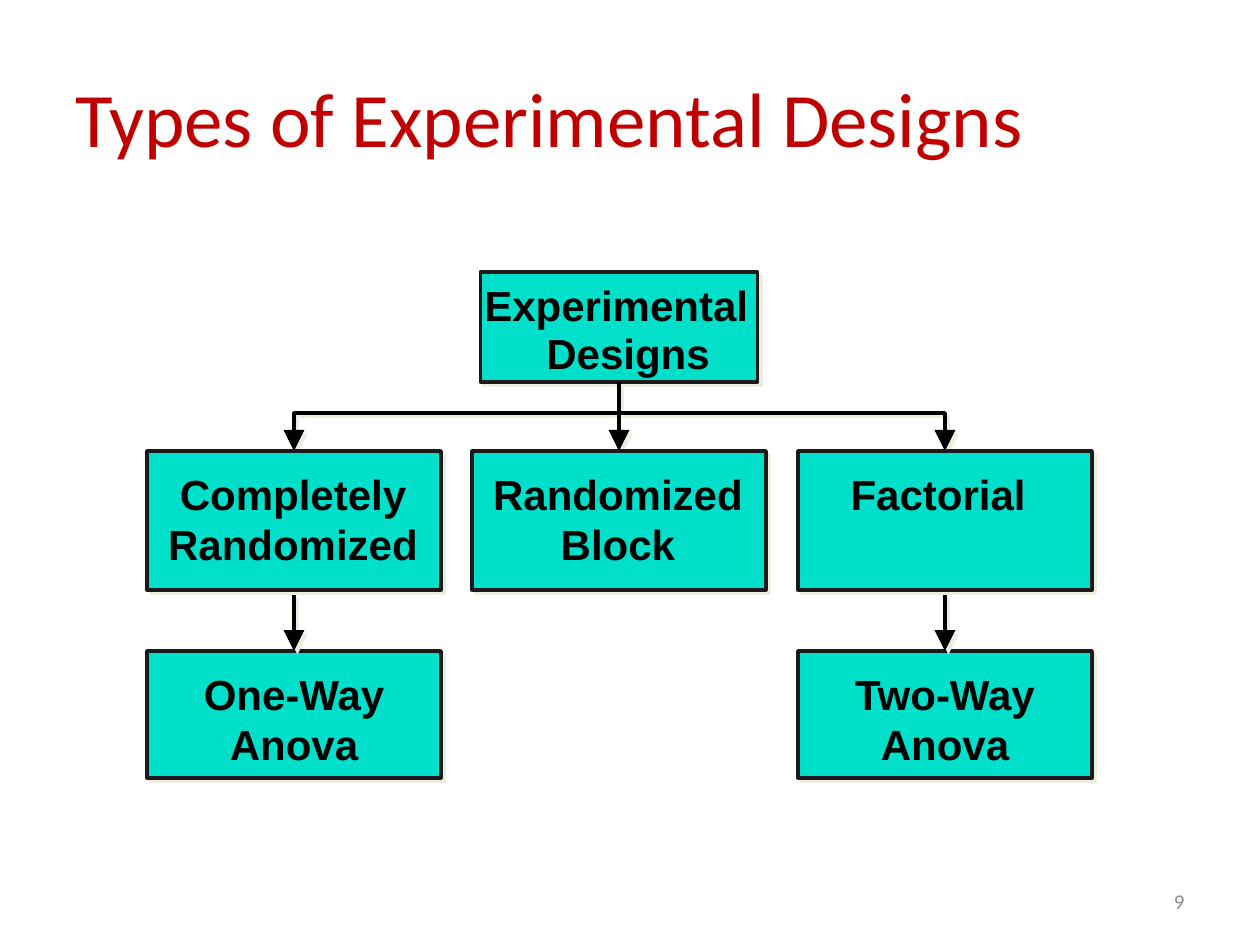
from lxml import etree
from pptx import Presentation
from pptx import util as u
from pptx.dml.color import RGBColor
from pptx.enum import shapes, text
from pptx.oxml.ns import qn

SCALE = 914400 / 126  # EMU per px
BLACK, TEAL, EDGE, SHADE = "000000", "00DFCA", "1A1A1A", "EEECE1"
RED, GREY = "C00000", "8C8C8C"

COLUMNS = [294, 619, 945]  # centre lines of the three branches
BOX_WIDTH, HEAD = 294, 21
ROOT_TOP, DESIGN_TOP, ANOVA_TOP = 272, 451, 651
ROOT_HEIGHT, DESIGN_HEIGHT, ANOVA_HEIGHT = 110, 139, 127
BUS = 413  # height of the line that joins the branches


def px(length):
    return u.Emu(round(length * SCALE))


def color(value):
    return RGBColor.from_string(value)


def set_shadow(shape, visible=True):
    """Add the offset shadow, or an empty list that turns shadows off."""
    effects = etree.SubElement(shape._element.spPr, qn("a:effectLst"))
    if visible:
        shadow = etree.SubElement(effects, qn("a:outerShdw"), dist="35921",
                                  dir="2700000", algn="ctr", rotWithShape="0")
        etree.SubElement(shadow, qn("a:srgbClr"), val=SHADE)


def set_line(shape, value):
    shape.line.color.rgb = color(value)
    shape.line.width = u.Pt(2)


def add_text(page, words, left, top, width, height, size=24, font="Arial", value=BLACK,
             bold=True, align=text.PP_ALIGN.CENTER, anchor=text.MSO_ANCHOR.TOP):
    frame = page.shapes.add_textbox(px(left), px(top), px(width), px(height)).text_frame
    frame.word_wrap = True
    frame.vertical_anchor = anchor
    para = frame.paragraphs[0]
    para.text = words
    para.alignment = align
    para.font.size = u.Pt(size)
    para.font.name = font
    para.font.bold = bold
    para.font.color.rgb = color(value)


def add_box(page, center, top, width, height):
    box = page.shapes.add_shape(shapes.MSO_SHAPE.RECTANGLE, px(center - width / 2),
                                px(top), px(width), px(height))
    box.fill.solid()
    box.fill.fore_color.rgb = color(TEAL)
    set_line(box, EDGE)
    set_shadow(box)


def add_label(page, words, center, box_top, width, height=113):
    add_text(page, words, center - width / 2, box_top + 11, width, height)


def add_elbow(page, center, root_center):
    builder = page.shapes.build_freeform(center, 432, SCALE)
    builder.add_line_segments([(center, BUS), (root_center, BUS),
                               (root_center, ROOT_TOP + ROOT_HEIGHT)], close=False)
    elbow = builder.convert_to_shape()
    elbow.fill.background()
    set_line(elbow, BLACK)
    set_shadow(elbow)


def add_stem(page, center, top, bottom, shadow=True):
    stem = page.shapes.add_connector(shapes.MSO_CONNECTOR.STRAIGHT, px(center), px(top),
                                     px(center), px(bottom))
    set_line(stem, BLACK)
    set_shadow(stem, shadow)


def add_head(page, center, tip):
    head = page.shapes.add_shape(shapes.MSO_SHAPE.FLOWCHART_MERGE, px(center - HEAD / 2),
                                 px(tip - HEAD), px(HEAD), px(HEAD))
    head.fill.solid()
    head.fill.fore_color.rgb = color(BLACK)
    head.line.fill.background()
    set_shadow(head)


def main():
    deck = Presentation()
    deck.slide_width, deck.slide_height = u.Inches(10), u.Inches(7.5)
    page = deck.slides.add_slide(deck.slide_layouts[6])
    left, middle, right = COLUMNS

    # Title and page number
    add_text(page, "Types of Experimental Designs", 63, 38, 1134, 157, 44, "Calibri", RED,
             False, text.PP_ALIGN.LEFT, text.MSO_ANCHOR.MIDDLE)
    add_text(page, "9", 903, 876, 294, 50, 12, "Calibri", GREY,
             False, text.PP_ALIGN.RIGHT, text.MSO_ANCHOR.MIDDLE)

    # Root box, its two words set separately
    add_box(page, middle, ROOT_TOP, 277, ROOT_HEIGHT)
    for word, x, y, width in (("Experimental", 472, 273, 300), ("Designs", 534, 321, 200)):
        add_text(page, word, x, y, width, 63, align=text.PP_ALIGN.LEFT)

    # Branch lines
    for center in (left, right):
        add_elbow(page, center, middle)
    add_stem(page, middle, 410, 441, shadow=False)

    # Designs
    designs = ("Completely Randomized", "Randomized Block", "Factorial ")
    for center, words in zip(COLUMNS, designs):
        add_head(page, center, DESIGN_TOP)
        add_box(page, center, DESIGN_TOP, BOX_WIDTH, DESIGN_HEIGHT)
        add_label(page, words, center - 1, DESIGN_TOP, 312, 63 if center == right else 113)

    # Analyses
    for center, words in ((left, "One-Way Anova"), (right, "Two-Way Anova")):
        add_box(page, center, ANOVA_TOP, BOX_WIDTH, ANOVA_HEIGHT)
        add_label(page, words, center, ANOVA_TOP, 210)
        add_stem(page, center, 595, 636)
        add_head(page, center, ANOVA_TOP)

    deck.save("out.pptx")


if __name__ == "__main__":
    main()
